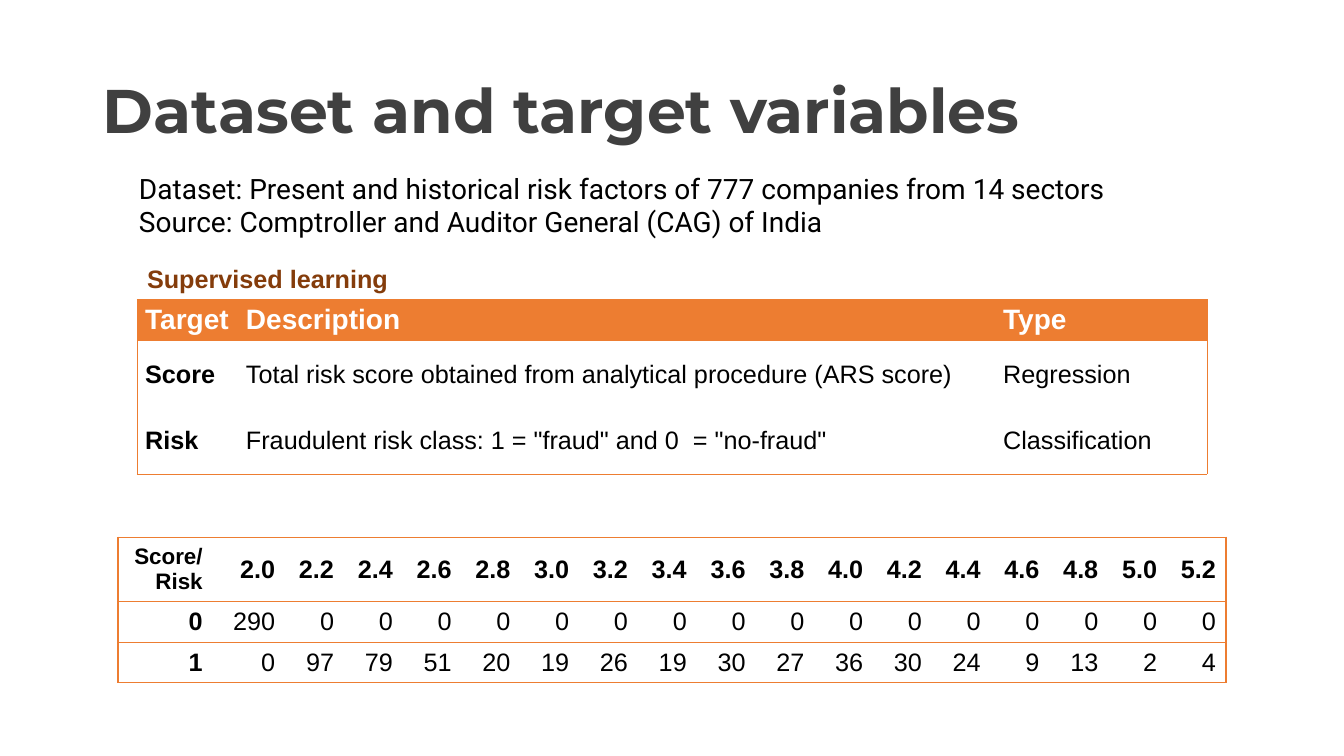
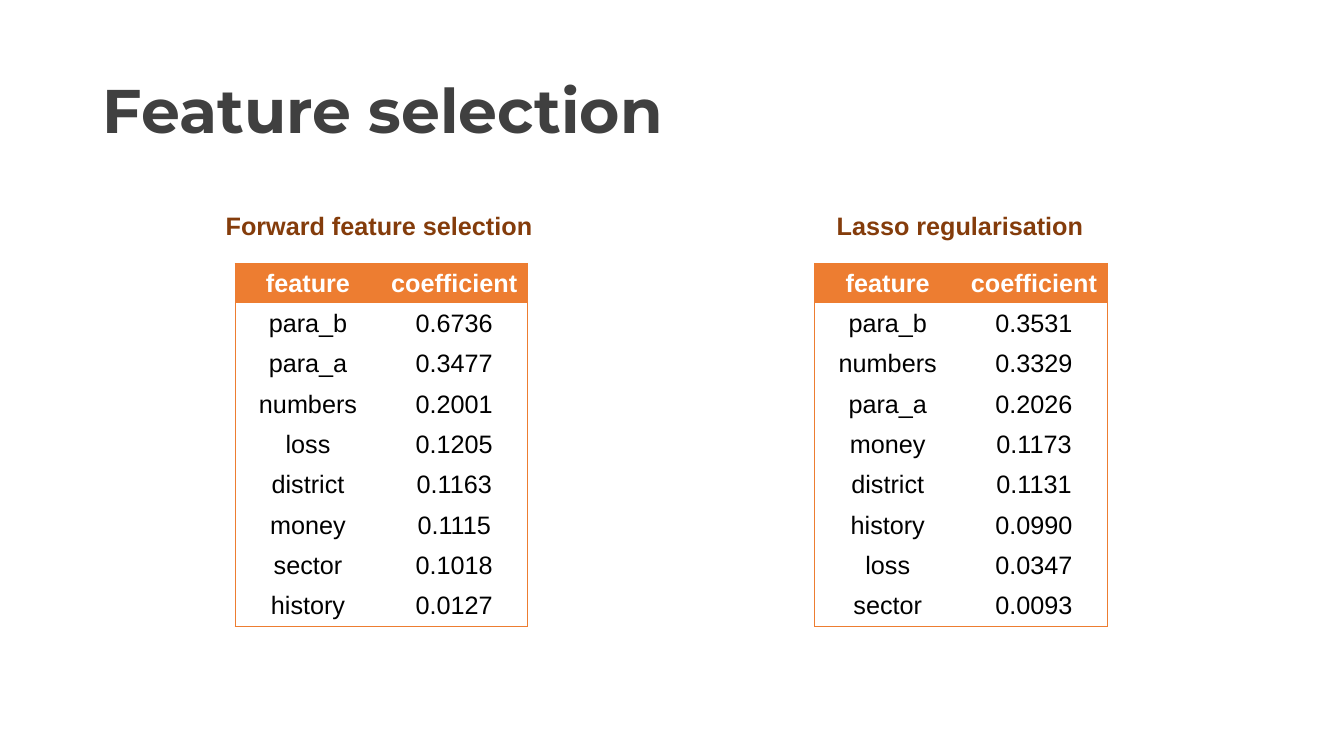
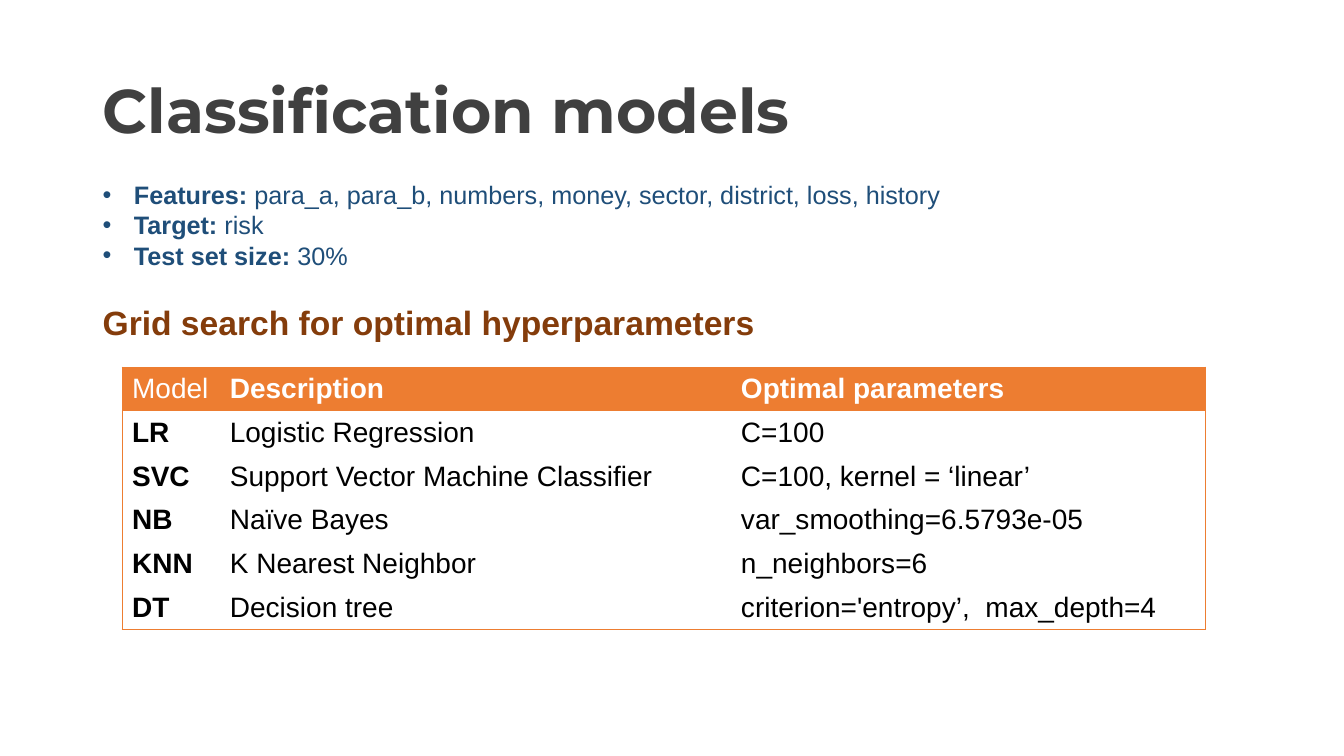
from lxml.etree import SubElement
from pptx import Presentation
from pptx.dml.color import RGBColor
from pptx.enum.text import MSO_ANCHOR, PP_ALIGN
from pptx.oxml import parse_xml
from pptx.oxml.ns import nsdecls, qn
from pptx.util import Pt

PX = 9144  # 100 px to the inch
INK = {"title": "404040", "text": "000000", "head": "843C0B", "list": "1F4E79",
       "band": "ED7D31", "paper": "FFFFFF"}
PLAIN = "{2D5ABB26-0587-4C30-8999-92F81FD0307C}"
LEFT, MID, RIGHT = PP_ALIGN.LEFT, PP_ALIGN.CENTER, PP_ALIGN.RIGHT


def write(frame, lines, size, ink, font="Arial", align=LEFT):
    """Fill a frame; each line is a list of (text, bold) runs."""
    for i, runs in enumerate(lines):
        para = frame.paragraphs[0] if i == 0 else frame.add_paragraph()
        para.alignment = align
        for text, bold in runs:
            run = para.add_run()
            run.text = text
            run.font.size = Pt(size)
            run.font.name = font
            run.font.bold = bold
            run.font.color.rgb = RGBColor.from_string(INK[ink])


def grid(slide, spot, cols, highs, data, size, top=None, align=LEFT,
         lead=True, band=True, line=0.5, pad=(10, 5)):
    """Add a framed table; top is the header size, lead makes column one bold."""
    box = [n * PX for n in (*spot, sum(cols), sum(highs))]
    table = slide.shapes.add_table(len(highs), len(cols), *map(int, box)).table
    table.first_row = band
    table.horz_banding = False
    table._tbl.tblPr.find(qn("a:tableStyleId")).text = PLAIN
    for col, wide in zip(table.columns, cols):
        col.width = int(wide * PX)
    for row, high in zip(table.rows, highs):
        row.height = high * PX
    for r, row in enumerate(data):
        for c, text in enumerate(row):
            cell = table.cell(r, c)
            head = band and r == 0
            cell.vertical_anchor = MSO_ANCHOR.MIDDLE
            cell.margin_left = cell.margin_right = pad[0] * PX
            cell.margin_top = cell.margin_bottom = pad[1] * PX
            cell.fill.solid()
            cell.fill.fore_color.rgb = RGBColor.from_string(INK["band" if head else "paper"])
            bold = r == 0 or (lead and c == 0)
            write(cell.text_frame, [[(part, bold)] for part in text.split("\n")],
                  top if top and r == 0 else size, "paper" if head else "text", align=align)
            rule = not band
            sides = {"L": c == 0, "R": c == len(cols) - 1,
                     "T": rule or r == 0, "B": rule or r == len(highs) - 1}
            shown = [side for side in sides if sides[side]]
            for i, side in enumerate(shown):
                cell._tc.get_or_add_tcPr().insert(i, parse_xml(
                    f'<a:ln{side} {nsdecls("a")} w="{Pt(line)}"><a:solidFill>'
                    f'<a:srgbClr val="{INK["band"]}"/></a:solidFill></a:ln{side}>'))
    return table


deck = Presentation()
deck.slide_width, deck.slide_height = 1333 * PX, 750 * PX

slides = []
for name in ("Dataset and target variables", "Feature selection", "Classification models"):
    slide = deck.slides.add_slide(deck.slide_layouts[6])
    frame = slide.shapes.add_textbox(92 * PX, 40 * PX, 1150 * PX, 145 * PX).text_frame
    frame.word_wrap = True
    frame.vertical_anchor = MSO_ANCHOR.MIDDLE
    write(frame, [[(name, True)]], 44, "title", "Montserrat")
    frame.paragraphs[0].line_spacing = 0.9
    slides.append(slide)
data, pick, model = slides

# Headings above the tables
for slide, text, x, y, wide, size in (
        (data, "Supervised learning", 136, 256, 261, 18),
        (pick, "Forward feature selection", 214, 204, 327, 18),
        (pick, "Lasso regularisation", 820, 204, 267, 18),
        (model, "Grid search for optimal hyperparameters", 92, 295, 673, 24)):
    frame = slide.shapes.add_textbox(x * PX, y * PX, wide * PX, 40 * PX).text_frame
    frame.word_wrap = False
    write(frame, [[(text, True)]], size, "head")

# Dataset
frame = data.shapes.add_textbox(128 * PX, 165 * PX, 1061 * PX, 77 * PX).text_frame
frame.word_wrap = True
write(frame, [
    [("Dataset: Present and historical risk factors of 777 companies from 14 sectors", False)],
    [("Source: Comptroller and Auditor General (CAG) of India", False)],
], 20, "text", "Roboto")

grid(data, (136, 297), (100, 751, 210), (40, 66, 66), [
    ("Target", "Description", "Type"),
    ("Score", "Total risk score obtained from analytical procedure (ARS score)", "Regression"),
    ("Risk", 'Fraudulent risk class: 1 = "fraud" and 0  = "no-fraud"', "Classification"),
], 18, top=20, pad=(8, 4))

ones = (0, 97, 79, 51, 20, 19, 26, 19, 30, 27, 36, 30, 24, 9, 13, 2, 4)
rest = len(ones) - 1
step = (1099 - 94 - 72) / rest
score = grid(data, (117, 533), [94, 72] + [step] * rest, (64, 40, 40), [
    ["Score/\nRisk"] + [f"{2 + i / 5:.1f}" for i in range(len(ones))],
    ["0", "290"] + ["0"] * rest,
    ["1"] + [str(n) for n in ones],
], 18, align=RIGHT, band=False, line=1)
for para in score.cell(0, 0).text_frame.paragraphs:
    para.runs[0].font.size = Pt(16)

# Feature selection
for x, rows in (
        (233, [("para_b", "0.6736"), ("para_a", "0.3477"), ("numbers", "0.2001"),
               ("loss", "0.1205"), ("district", "0.1163"), ("money", "0.1115"),
               ("sector", "0.1018"), ("history", "0.0127")]),
        (808, [("para_b", "0.3531"), ("numbers", "0.3329"), ("para_a", "0.2026"),
               ("money", "0.1173"), ("district", "0.1131"), ("history", "0.0990"),
               ("loss", "0.0347"), ("sector", "0.0093")])):
    grid(pick, (x, 261), (145, 145), [38] * 9, [("feature", "coefficient")] + rows,
         18, align=MID, lead=False)

# Classification models
frame = model.shapes.add_textbox(92 * PX, 173 * PX, 1121 * PX, 101 * PX).text_frame
frame.word_wrap = True
write(frame, [
    [("Features: ", True),
     ("para_a, para_b, numbers, money, sector, district, loss, history", False)],
    [("Target:", True), (" risk", False)],
    [("Test set size: ", True), ("30%", False)],
], 18, "list")
for para in frame.paragraphs:
    prop = para._p.get_or_add_pPr()
    prop.set("marL", str(31 * PX))
    prop.set("indent", str(-31 * PX))
    SubElement(prop, qn("a:buFont")).set("typeface", "Arial")
    SubElement(prop, qn("a:buChar")).set("char", "•")

tuned = grid(model, (121, 364), (97, 507, 471), [41] * 6, [
    ("Model", "Description", "Optimal parameters"),
    ("LR", "Logistic Regression", "C=100"),
    ("SVC", "Support Vector Machine Classifier", "C=100, kernel = ‘linear’"),
    ("NB", "Naïve Bayes", "var_smoothing=6.5793e-05"),
    ("KNN", "K Nearest Neighbor", "n_neighbors=6"),
    ("DT", "Decision tree", "criterion='entropy’,  max_depth=4"),
], 20)
tuned.cell(0, 0).text_frame.paragraphs[0].runs[0].font.bold = False

deck.save("out.pptx")
